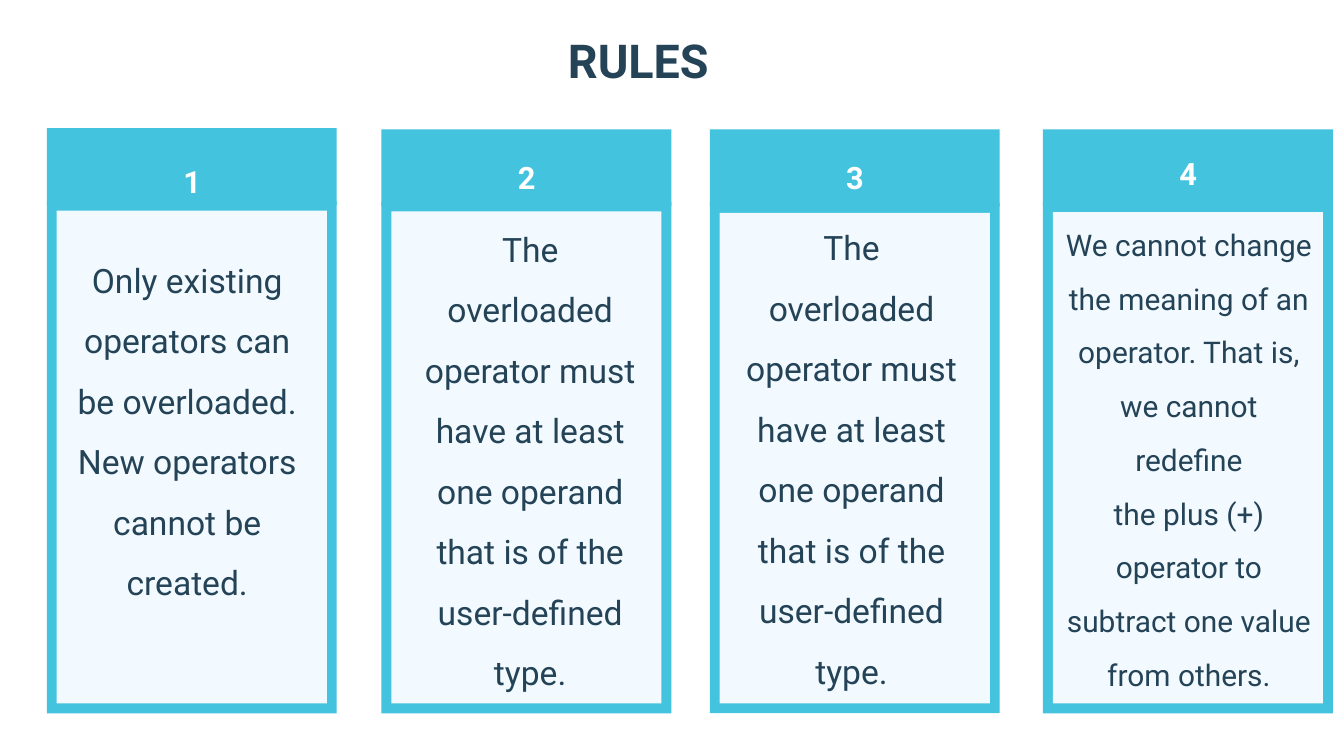
from pptx import Presentation
from pptx.dml.color import RGBColor
from pptx.enum.shapes import MSO_SHAPE
from pptx.enum.text import MSO_ANCHOR, MSO_AUTO_SIZE, PP_ALIGN
from pptx.util import Emu, Pt

SCALE = 9525  # EMU in one px, 96 px to the inch
FONT = "Roboto"
CYAN, PALE, NAVY, WHITE = "43C3DD", "F2FAFF", "244357", "FFFFFF"
WIDE, BASE, EDGE = 414, 1019, 14  # card width, card bottom, frame border
HEAD = 110

OPERAND = ("The overloaded operator must have at least one operand "
           "that is of the user-defined type.")
# card left, head top, frame top, number top, text box, text size, paragraphs
CARDS = [
    (67, 183, 287, 212, (108, 342, 319, 576), 36,
     ["Only existing operators can be overloaded. "
      "New operators cannot be created."]),
    (545, 185, 288, 206, (603, 298, 309, 567), 36, [OPERAND]),
    (1014, 185, 290, 206, (1062, 296, 309, 567), 36, [OPERAND]),
    (1490, 185, 289, 200, (1511, 298, 375, 706), 32,
     ["We cannot change the meaning of an operator. That is, we cannot",
      "redefine",
      "the plus (+) operator to subtract one value from others."]),
]


def px(count):
    return Emu(count * SCALE)


def color(code):
    return RGBColor.from_string(code)


def add_rect(slide, box, fill):
    rect = slide.shapes.add_shape(MSO_SHAPE.RECTANGLE, *map(px, box))
    rect.shadow.inherit = False
    rect.fill.solid()
    rect.fill.fore_color.rgb = color(fill)
    rect.line.fill.background()


def set_text(shape, lines, size, ink, space, bold=False):
    """Fill a shape with centred paragraphs, without insets."""
    frame = shape.text_frame
    frame.word_wrap = True
    frame.auto_size = MSO_AUTO_SIZE.NONE
    frame.vertical_anchor = MSO_ANCHOR.TOP
    frame.margin_left = frame.margin_right = 0
    frame.margin_top = frame.margin_bottom = 0
    frame.text = "\n".join(lines)
    for para in frame.paragraphs:
        para.alignment = PP_ALIGN.CENTER
        para.line_spacing = space
        para.space_before = Pt(0)
        font = para.font
        font.name, font.size, font.bold = FONT, Pt(size), bold
        font.color.rgb = color(ink)


def add_text(slide, box, *style, **extra):
    set_text(slide.shapes.add_textbox(*map(px, box)), *style, **extra)


def add_title(slide, text, box):
    title = slide.shapes.title
    title.left, title.top, title.width, title.height = map(px, box)
    set_text(title, [text], 50, NAVY, 1.25, bold=True)


def add_card(slide, number, left, head, top, label, box, size, lines):
    tall = BASE - top
    add_rect(slide, (left, top, WIDE, tall), CYAN)
    add_rect(slide, (left + EDGE, top + EDGE,
                     WIDE - 2 * EDGE, tall - 2 * EDGE), PALE)
    add_rect(slide, (left, head, WIDE, HEAD), CYAN)
    add_text(slide, (left + 48, label, 319, 60), [str(number)],
             33, WHITE, 1.4, bold=True)
    add_text(slide, box, lines, size, NAVY, 1.5)


def main():
    deck = Presentation()
    deck.slide_width, deck.slide_height = px(1920), px(1080)
    slide = deck.slides.add_slide(deck.slide_layouts.get_by_name("Title Only"))
    add_title(slide, "RULES", (346, 25, 1132, 83))
    for number, card in enumerate(CARDS, 1):
        add_card(slide, number, *card)
    deck.save("out.pptx")


if __name__ == "__main__":
    main()
